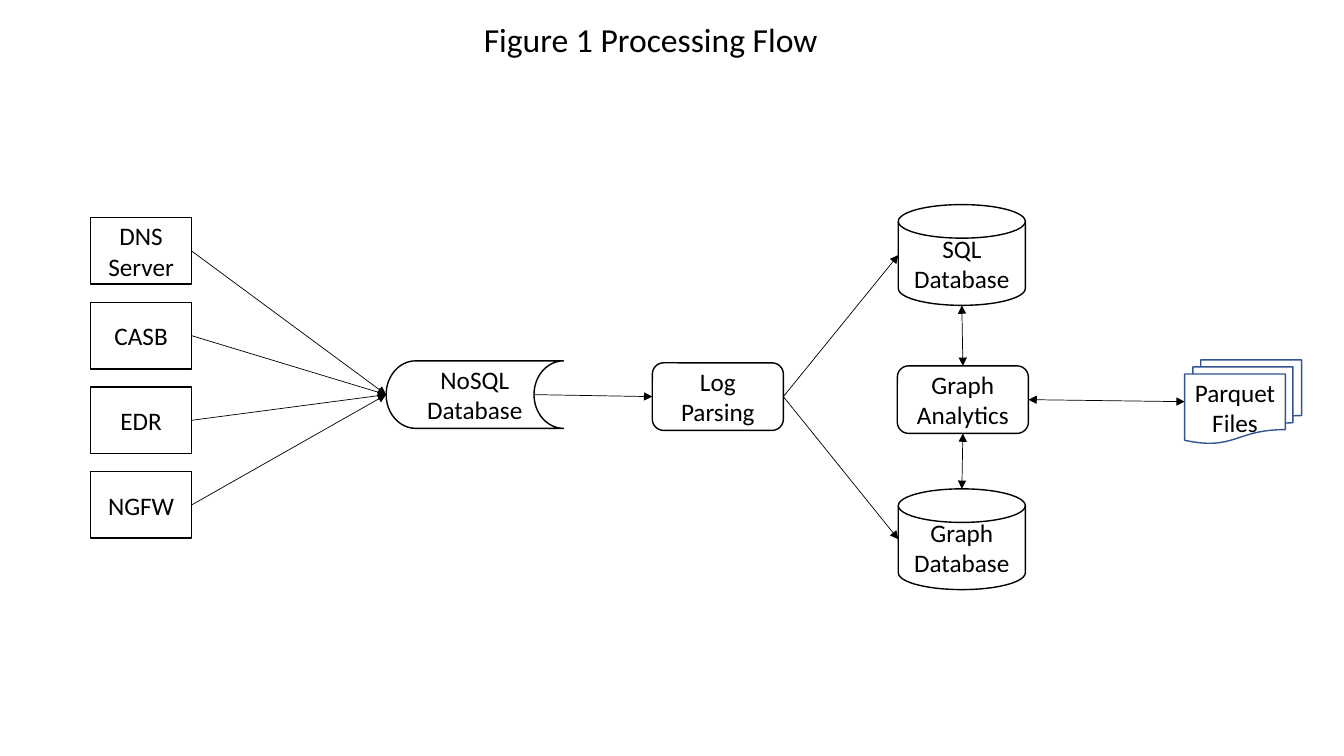
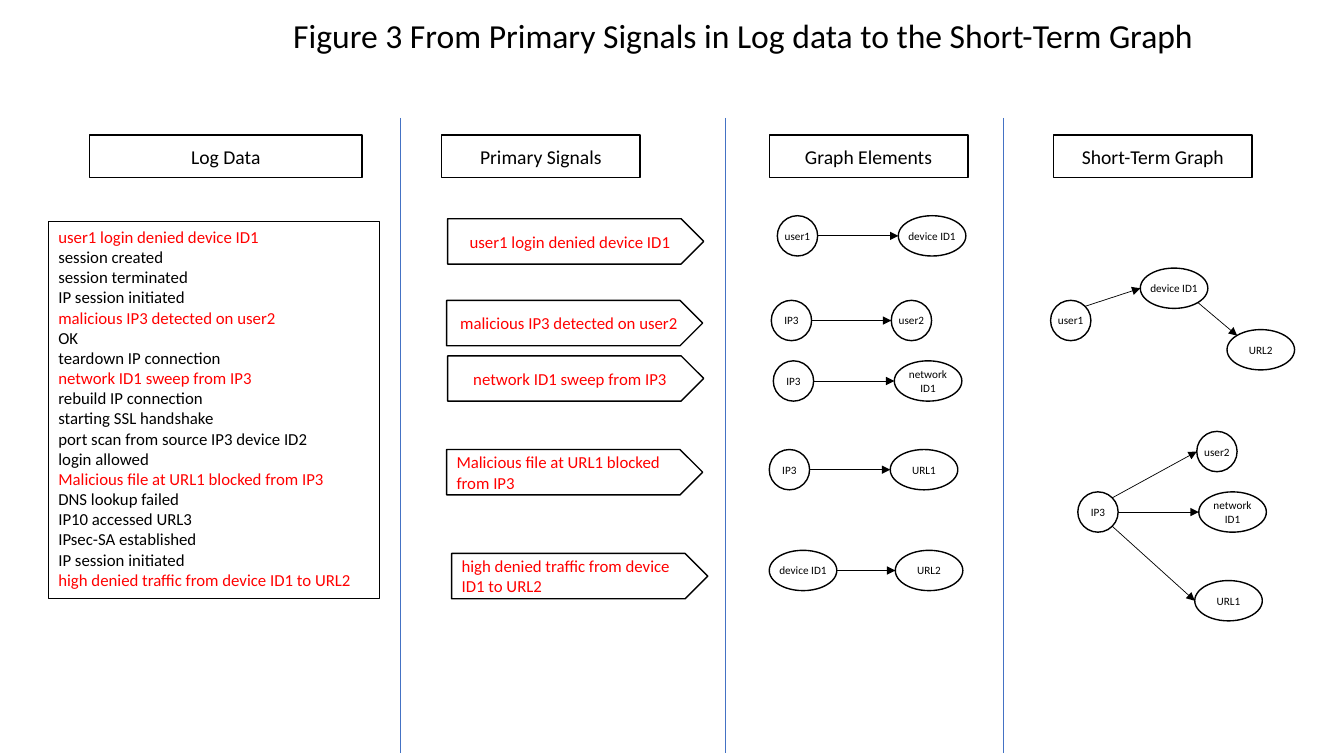
from lxml import etree
from pptx import Presentation
from pptx.dml.color import RGBColor
from pptx.enum import shapes, text
from pptx.oxml import ns
from pptx.util import Inches, Pt

KIND = shapes.MSO_SHAPE
FONT = "Calibri"
BLACK, WHITE, RED, BLUE, NAVY = "000000", "FFFFFF", "FF0000", "4472C4", "325491"

FLOW_TITLE = ("Figure 1 Processing Flow", 4.7, 0.14, 3.54)
SOURCES = ["DNS Server", "CASB", "EDR", "NGFW"]
SOURCE_LEFT, SOURCE_TOP, SOURCE_PITCH = 0.9, 2.16, 0.84
STAGES = [
    ("NoSQL Database", KIND.FLOWCHART_STORED_DATA, 3.83, 3.58, 1.76, 0.67),
    ("Log Parsing", KIND.ROUNDED_RECTANGLE, 6.47, 3.6, 1.3, 0.67),
    ("SQL Database", KIND.FLOWCHART_MAGNETIC_DISK, 8.91, 2.03, 1.26, 1),
    ("Graph Analytics", KIND.ROUNDED_RECTANGLE, 8.9, 3.63, 1.3, 0.67),
    ("Graph Database", KIND.FLOWCHART_MAGNETIC_DISK, 8.91, 4.85, 1.26, 1),
    ("Parquet Files", KIND.FLOWCHART_MULTIDOCUMENT, 11.75, 3.57, 1.16, 0.83),
]
STAGE_LINKS = [
    ("NoSQL Database", "inner right", "Log Parsing", "left", False),
    ("Log Parsing", "right", "SQL Database", "left", False),
    ("Log Parsing", "right", "Graph Database", "left", False),
    ("SQL Database", "bottom", "Graph Analytics", "top", True),
    ("Graph Analytics", "bottom", "Graph Database", "top", True),
    ("Graph Analytics", "right", "Parquet Files", "left", True),
]

SIGNAL_TITLE = ("Figure 3 From Primary Signals in Log data to the Short-Term Graph", 2.81, 0.1, 9.14)
HEADERS = [("Log Data", 0.89, 2.7), ("Primary Signals", 4.38, 1.97),
           ("Graph Elements", 7.63, 1.97), ("Short-Term Graph", 10.45, 1.97)]
DIVIDERS = [3.97, 7.19, 9.95]
LOG_LINES = [
    "user1 login denied device ID1", "session created", "session terminated",
    "IP session initiated", "malicious IP3 detected on user2", "OK",
    "teardown IP connection", "network ID1 sweep from IP3", "rebuild IP connection",
    "starting SSL handshake", "port scan from source IP3 device ID2", "login allowed",
    "Malicious file at URL1 blocked from IP3", "DNS lookup failed", "IP10 accessed URL3",
    "IPsec-SA established", "IP session initiated",
    "high denied traffic from device ID1 to URL2",
]
SIGNALS = [
    ("user1 login denied device ID1", 4.44, 2.17, "center"),
    ("malicious IP3 detected on user2", 4.43, 2.98, "center"),
    ("network ID1 sweep from IP3", 4.44, 3.53, "center"),
    ("Malicious file at URL1 blocked from IP3", 4.43, 4.46, "left"),
    ("high denied traffic from device ID1 to URL2", 4.48, 5.49, "left"),
]
ELEMENTS = [
    (2.14, "user1", 7.71, "device ID1", 8.91),
    (2.98, "IP3", 7.65, "user2", 8.84),
    (3.58, "IP3", 7.67, "network ID1", 8.87),
    (4.46, "IP3", 7.63, "URL1", 8.83),
    (5.46, "device ID1", 7.63, "URL2", 8.88),
]
GRAPH_NODES = [
    ("user1", 10.42, 2.98), ("device ID1", 11.31, 2.66), ("URL2", 12.17, 3.27),
    ("IP3", 10.69, 4.88), ("user2", 11.87, 4.28), ("network ID1", 11.89, 4.88),
    ("URL1", 11.85, 5.76),
]
GRAPH_LINKS = [
    ("user1", "top right", "device ID1", "left"),
    ("device ID1", "bottom right", "URL2", "top left"),
    ("IP3", "top right", "user2", "left"),
    ("IP3", "right", "network ID1", "left"),
    ("IP3", "bottom right", "URL1", "left"),
]
ROUND_NODES = {"user1", "user2", "IP3"}

SITES = {
    "left": (0, 0.5), "right": (1, 0.5), "top": (0.5, 0), "bottom": (0.5, 1),
    "inner right": (5 / 6, 0.5), "top left": (0.15, 0.15),
    "top right": (0.85, 0.15), "bottom right": (0.85, 0.85),
}
ALIGN = {"left": text.PP_ALIGN.LEFT, "center": text.PP_ALIGN.CENTER}


def colour(value):
    return RGBColor.from_string(value)


def write(box, lines, size=18, ink=BLACK, align="center", anchor="MIDDLE",
          wrap=True, inset=None, grow=False, marked=()):
    frame = box.text_frame
    frame.word_wrap = wrap
    frame.vertical_anchor = getattr(text.MSO_ANCHOR, anchor)
    if grow:
        frame.auto_size = text.MSO_AUTO_SIZE.SHAPE_TO_FIT_TEXT
    if inset is not None:
        frame.margin_left = frame.margin_right = Inches(inset)
        frame.margin_top = frame.margin_bottom = Inches(inset)
    for index, line in enumerate(lines):
        para = frame.paragraphs[0] if index == 0 else frame.add_paragraph()
        para.alignment = ALIGN[align]
        span = para.add_run()
        span.text = line
        span.font.name = FONT
        span.font.size = Pt(size)
        span.font.color.rgb = colour(RED if line in marked else ink)


def add_box(page, kind, place, label, outline=BLACK, **style):
    box = page.shapes.add_shape(kind, *map(Inches, place))
    box.shadow.inherit = False
    box.fill.solid()
    box.fill.fore_color.rgb = colour(WHITE)
    box.line.color.rgb = colour(outline)
    box.line.width = Pt(1)
    write(box, [label], **style)
    return box


def add_line(page, start, end, ink=BLACK, head=False, tail=False):
    line = page.shapes.add_connector(shapes.MSO_CONNECTOR.STRAIGHT, *start, *end)
    line.line.color.rgb = colour(ink)
    line.line.width = Pt(0.5)
    stroke = line.line._get_or_add_ln()
    for tag, wanted in (("a:headEnd", head), ("a:tailEnd", tail)):
        if wanted:
            etree.SubElement(stroke, ns.qn(tag), type="triangle")
    etree.SubElement(line._element.spPr, ns.qn("a:effectLst"))


def site(box, name):
    across, down = SITES[name]
    return int(box.left + box.width * across), int(box.top + box.height * down)


def link(page, first, leave, second, enter, both=False):
    add_line(page, site(first, leave), site(second, enter), head=both, tail=True)


def add_page(deck, title):
    page = deck.slides.add_slide(deck.slide_layouts[6])
    label, left, top, width = title
    box = page.shapes.add_textbox(*map(Inches, (left, top, width, 0.5)))
    write(box, [label], size=24, align="left", anchor="TOP", wrap=False, grow=True)
    return page


def add_node(page, name, left, top):
    width = 0.4 if name in ROUND_NODES else 0.67
    return add_box(page, KIND.OVAL, (left, top, width, 0.4), name, size=8, inset=0)


def build_flow(deck):
    page = add_page(deck, FLOW_TITLE)
    stages = {}
    for name, kind, *place in STAGES:
        outline = NAVY if kind == KIND.FLOWCHART_MULTIDOCUMENT else BLACK
        stages[name] = add_box(page, kind, place, name, outline)
    for row, name in enumerate(SOURCES):
        place = (SOURCE_LEFT, SOURCE_TOP + row * SOURCE_PITCH, 1, 0.66)
        source = add_box(page, KIND.RECTANGLE, place, name)
        link(page, source, "right", stages["NoSQL Database"], "left")
    for first, leave, second, enter, both in STAGE_LINKS:
        link(page, stages[first], leave, stages[second], enter, both)


def build_signals(deck):
    page = add_page(deck, SIGNAL_TITLE)
    for label, left, width in HEADERS:
        add_box(page, KIND.RECTANGLE, (left, 1.34, width, 0.42), label, size=14)
    for x in DIVIDERS:
        add_line(page, (Inches(x), Inches(1.17)), (Inches(x), Inches(7.47)), BLUE)

    log = page.shapes.add_textbox(*map(Inches, (0.48, 2.2, 3.28, 3.74)))
    log.line.color.rgb = colour(BLACK)
    log.line.width = Pt(0.75)
    write(log, LOG_LINES, size=12, align="left", anchor="TOP", grow=True,
          marked={signal[0] for signal in SIGNALS})

    for label, left, top, align in SIGNALS:
        add_box(page, KIND.PENTAGON, (left, top, 2.54, 0.45), label,
                size=12, ink=RED, align=align)
    for top, first, first_left, second, second_left in ELEMENTS:
        link(page, add_node(page, first, first_left, top), "right",
             add_node(page, second, second_left, top), "left")

    nodes = {name: add_node(page, name, left, top) for name, left, top in GRAPH_NODES}
    for first, leave, second, enter in GRAPH_LINKS:
        link(page, nodes[first], leave, nodes[second], enter)


def main():
    deck = Presentation()
    deck.slide_width, deck.slide_height = Inches(13.33), Inches(7.5)
    build_flow(deck)
    build_signals(deck)
    deck.save("out.pptx")


if __name__ == "__main__":
    main()
